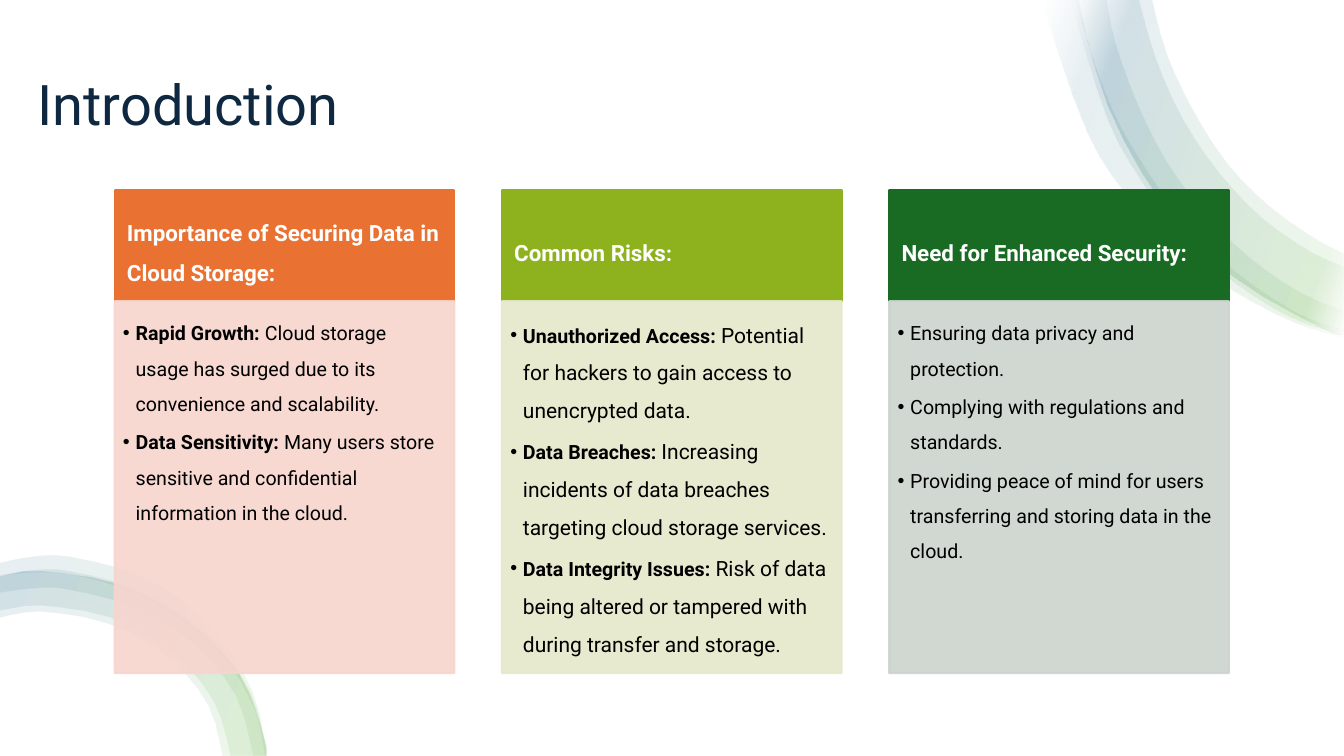
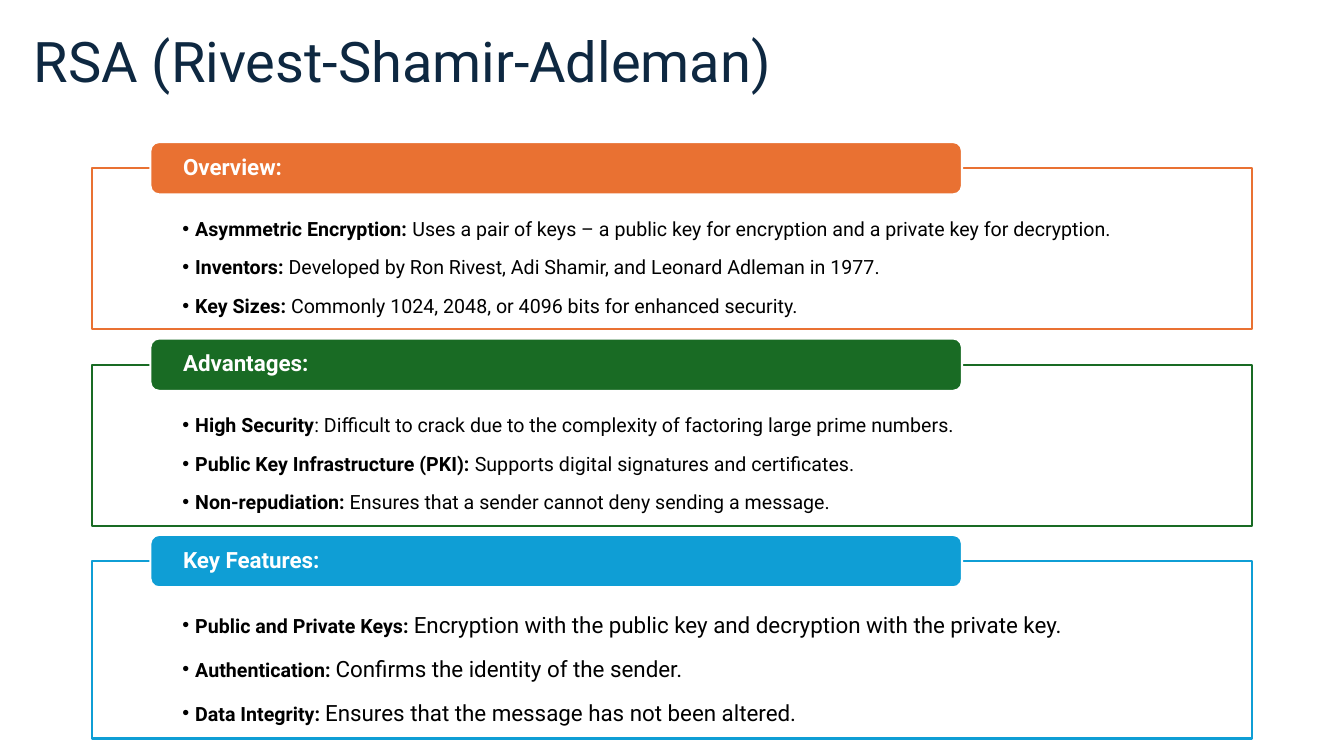
from dataclasses import dataclass

from lxml import etree
from pptx import Presentation
from pptx import util as u
from pptx.dml.color import RGBColor
from pptx.enum import shapes, text
from pptx.oxml.ns import qn


@dataclass(frozen=True)
class Theme:
    font: str = "Roboto"
    navy: str = "0E2841"
    black: str = "000000"
    white: str = "FFFFFF"
    orange: str = "E97132"
    lime: str = "8EB21E"
    green: str = "196B24"
    blue: str = "0F9ED5"
    pale_orange: str = "F7D5CE"
    pale_lime: str = "E5E8CA"
    pale_green: str = "CCD4CD"
    swoosh_green: str = "4EA72E"
    swoosh_blue: str = "156082"
    title: float = 40
    heading: float = 16
    body: float = 14
    body_large: float = 15
    outline: float = 1.5


THEME = Theme()
OPACITY = 90
SLIDE_WIDTH, SLIDE_HEIGHT = 33.87, 19.05


@dataclass(frozen=True)
class Box:
    """A region of the slide, in centimetres."""
    left: float
    top: float
    width: float
    height: float

    def place(self, shape):
        shape.left, shape.top = u.Cm(self.left), u.Cm(self.top)
        shape.width, shape.height = u.Cm(self.width), u.Cm(self.height)


# ---- Shared helpers ----
def add_alpha(color_element, percent):
    etree.SubElement(color_element, qn("a:alpha"), val=str(percent * 1000))


def write(paragraph, content, size=THEME.body, color=THEME.black, bold=False):
    run = paragraph.add_run()
    run.text = content
    run.font.name = THEME.font
    run.font.size = u.Pt(size)
    run.font.bold = bold
    run.font.color.rgb = RGBColor.from_string(color)


def set_frame(frame, insets, anchor):
    frame.word_wrap = True
    frame.vertical_anchor = anchor
    (frame.margin_left, frame.margin_top,
     frame.margin_right, frame.margin_bottom) = map(u.Cm, insets)


def add_panel(slide, box, fill, line=None, opacity=100, line_opacity=100,
              preset=shapes.MSO_SHAPE.RECTANGLE):
    panel = slide.shapes.add_shape(preset, 0, 0, 0, 0)
    box.place(panel)
    panel.shadow.inherit = False
    panel.fill.solid()
    panel.fill.fore_color.rgb = RGBColor.from_string(fill)
    if line is None:
        panel.line.fill.background()
    else:
        panel.line.color.rgb = RGBColor.from_string(line)
        panel.line.width = u.Pt(THEME.outline)
    properties = panel.element.spPr
    for parent, percent in ((properties, opacity),
                            (properties.find(qn("a:ln")), line_opacity)):
        if percent < 100:
            add_alpha(parent.find(qn("a:solidFill"))[0], percent)
    return panel


def add_heading(panel, heading, insets, line_spacing, tail=""):
    set_frame(panel.text_frame, insets, text.MSO_ANCHOR.MIDDLE)
    paragraph = panel.text_frame.paragraphs[0]
    paragraph.alignment = text.PP_ALIGN.LEFT
    paragraph.line_spacing = line_spacing
    write(paragraph, heading, size=THEME.heading, color=THEME.white, bold=True)
    if tail:
        write(paragraph, tail, size=THEME.body_large, color=THEME.white, bold=True)


def add_list(panel, items, insets, size):
    """Items are pairs of a bold lead and the text after it."""
    frame = panel.text_frame
    set_frame(frame, insets, text.MSO_ANCHOR.TOP)
    for index, (lead, rest) in enumerate(items):
        paragraph = frame.paragraphs[0] if index == 0 else frame.add_paragraph()
        paragraph.alignment = text.PP_ALIGN.LEFT
        paragraph.line_spacing = 1.5
        paragraph.space_after = u.Pt(0.16 * size)
        properties = paragraph._p.get_or_add_pPr()
        indent = u.Cm(0.32)
        properties.set("marL", str(indent))
        properties.set("indent", str(-indent))
        etree.SubElement(properties, qn("a:buFont"), typeface="Arial")
        etree.SubElement(properties, qn("a:buChar"), char="•")
        if lead:
            write(paragraph, lead, bold=True)
        write(paragraph, rest, size=size)


def add_titled_slide(presentation, title, box):
    slide = presentation.slides.add_slide(presentation.slide_layouts[5])
    box.place(slide.shapes.title)
    frame = slide.shapes.title.text_frame
    frame.vertical_anchor = text.MSO_ANCHOR.MIDDLE
    paragraph = frame.paragraphs[0]
    paragraph.alignment = text.PP_ALIGN.LEFT
    paragraph.line_spacing = 0.9
    write(paragraph, title, size=THEME.title, color=THEME.navy)
    return slide


# ---- Corner swooshes: edges in hundredths of 2.54 cm from the corner box ----
UNIT = u.Cm(2.54) / 100
RIGHT_STOPS = [(0, THEME.white), (12, THEME.swoosh_green),
               (85, THEME.swoosh_blue), (100, THEME.white)]
RIGHT_EDGE = [(35, 0), (67, 107), (119, 200), (190, 274), (276, 324), (300, 332)]
RIGHT_BANDS = [
    ([(4, 0), (8, 26), (45, 131), (83, 192), (132, 245), (188, 287), (249, 319), (300, 335)],
     [(37, 0), (49, 52), (73, 115), (107, 173), (148, 227), (197, 273), (253, 310), (300, 328)]),
    (RIGHT_EDGE,
     [(110, 0), (125, 55), (152, 112), (186, 164), (228, 206), (274, 238), (300, 251)]),
    ([(31, 0), (35, 20), (66, 119), (99, 179), (140, 233), (190, 279), (246, 314), (300, 333)],
     [(65, 0), (74, 44), (96, 104), (125, 161), (162, 211), (206, 255), (257, 290), (300, 308)]),
    (RIGHT_EDGE,
     [(97, 0), (114, 59), (141, 119), (177, 172), (220, 217), (268, 250), (300, 264)]),
]
LEFT_STOPS = [(10, THEME.swoosh_green), (95, THEME.swoosh_blue)]
LEFT_EDGE = [(0, 22), (40, 17), (117, 30), (185, 66), (237, 119), (262, 185), (263, 200)]
LEFT_BANDS = [
    (LEFT_EDGE, [(0, 63), (40, 57), (107, 69), (166, 102), (206, 150), (220, 200)]),
    (LEFT_EDGE, [(0, 56), (40, 51), (109, 63), (170, 97), (212, 147), (228, 200)]),
    ([(0, 21), (31, 16), (69, 17), (142, 37), (203, 77), (247, 135), (262, 186), (263, 200)],
     [(0, 38), (33, 34), (67, 35), (134, 53), (192, 89), (234, 141), (251, 200)]),
    ([(0, 9), (31, 3), (71, 3), (148, 25), (210, 73), (250, 137), (264, 200)],
     [(0, 22), (32, 18), (69, 20), (122, 34), (171, 59), (225, 108), (252, 155), (262, 200)]),
]


def smooth_curve(points, steps=3):
    """Catmull-Rom curve through the points, scaled to slide units."""
    padded = [points[0], *points, points[-1]]
    curve = []
    for a, b, c, d in zip(padded, padded[1:], padded[2:], padded[3:]):
        for step in range(steps):
            t = step / steps
            curve.append(tuple(
                UNIT * (q + t * (r - p) / 2
                        + t * t * (2 * p - 5 * q + 4 * r - s) / 2
                        + t ** 3 * (3 * q - p - 3 * r + s) / 2)
                for p, q, r, s in zip(a, b, c, d)))
    return curve + [tuple(UNIT * value for value in points[-1])]


def add_swoosh(slide, left, top, bands, color_stops):
    for outer, inner in bands:
        outline = smooth_curve(outer) + smooth_curve(inner)[::-1]
        builder = slide.shapes.build_freeform(*outline[0], scale=1.0)
        builder.add_line_segments(outline[1:], close=True)
        band = builder.convert_to_shape(u.Cm(left), u.Cm(top))
        band.shadow.inherit = False
        band.line.fill.background()
        band.fill.gradient()
        band.fill.gradient_angle = 160
        stops = band.element.spPr.find(qn("a:gradFill")).find(qn("a:gsLst"))
        for stop in list(stops):
            stops.remove(stop)
        for position, color in color_stops:
            stop = etree.SubElement(stops, qn("a:gs"), pos=str(position * 1000))
            add_alpha(etree.SubElement(stop, qn("a:srgbClr"), val=color), 10)


# ---- Introduction: three cards ----
CARDS = [
    ("Importance of Securing Data in Cloud Storage:", "",
     THEME.orange, THEME.pale_orange, THEME.body, [
         ("Rapid Growth: ",
          "Cloud storage usage has surged due to its convenience and scalability."),
         ("Data Sensitivity: ",
          "Many users store sensitive and confidential information in the cloud."),
     ]),
    ("Common Risks", ":", THEME.lime, THEME.pale_lime, THEME.body_large, [
        ("Unauthorized Access: ", "Potential for hackers to gain access to unencrypted data."),
        ("Data Breaches: ",
         "Increasing incidents of data breaches targeting cloud storage services."),
        ("Data Integrity Issues: ",
         "Risk of data being altered or tampered with during transfer and storage."),
    ]),
    ("Need for Enhanced Security:", "", THEME.green, THEME.pale_green, THEME.body, [
        ("", "Ensuring data privacy and protection."),
        ("", "Complying with regulations and standards."),
        ("", "Providing peace of mind for users transferring and storing data in the cloud."),
    ]),
]


def add_card(slide, box, heading, tail, color, pale, size, items):
    header_height = 2.79
    header = add_panel(slide, Box(box.left, box.top, box.width, header_height), color, color)
    add_heading(header, heading, (0.31, 0.18, 0.3, 0.18), 1.5, tail)
    body_box = Box(box.left, box.top + header_height, box.width, box.height - header_height)
    body = add_panel(slide, body_box, pale, pale, OPACITY, OPACITY)
    add_list(body, items, (0.21, 0.21, 0.28, 0.3), size)


def build_introduction(presentation):
    slide = add_titled_slide(presentation, "Introduction", Box(0.69, 1.05, 29.39, 3.3))
    backdrop = add_panel(slide, Box(0, 0, SLIDE_WIDTH, SLIDE_HEIGHT), THEME.white)
    slide.shapes.title.element.addprevious(backdrop.element)
    add_swoosh(slide, 26.24, 0, RIGHT_BANDS, RIGHT_STOPS)
    add_swoosh(slide, 0, 13.97, LEFT_BANDS, LEFT_STOPS)
    width, gap = 8.56, 1.2
    for index, card in enumerate(CARDS):
        add_card(slide, Box(2.89 + index * (width + gap), 4.8, width, 12.16), *card)


# ---- RSA: stacked sections with a heading tab ----
SECTIONS = [
    (4.06, "Overview:", THEME.orange, THEME.body, [
        ("Asymmetric Encryption: ",
         "Uses a pair of keys – a public key for encryption and a private key for decryption."),
        ("Inventors: ", "Developed by Ron Rivest, Adi Shamir, and Leonard Adleman in 1977."),
        ("Key Sizes: ", "Commonly 1024, 2048, or 4096 bits for enhanced security."),
    ]),
    (4.06, "Advantages:", THEME.green, THEME.body, [
        ("High Security",
         ": Difficult to crack due to the complexity of factoring large prime numbers."),
        ("Public Key Infrastructure (PKI): ", "Supports digital signatures and certificates."),
        ("Non-repudiation: ", "Ensures that a sender cannot deny sending a message."),
    ]),
    (4.47, "Key Features:", THEME.blue, THEME.heading, [
        ("Public and Private Keys: ",
         "Encryption with the public key and decryption with the private key."),
        ("Authentication: ", "Confirms the identity of the sender."),
        ("Data Integrity: ", "Ensures that the message has not been altered."),
    ]),
]


def add_section(slide, box, heading, color, size, items):
    frame = add_panel(slide, box, THEME.white, color, OPACITY)
    add_list(frame, items, (2.27, 0.93, 2.26, 0.28), size)
    tab_box = Box(box.left + 1.46, box.top - 0.66, box.width * 0.7, 1.32)
    tab = add_panel(slide, tab_box, color, THEME.white,
                    preset=shapes.MSO_SHAPE.ROUNDED_RECTANGLE)
    add_heading(tab, heading, (0.76, 0, 0.76, 0), 0.9)


def build_rsa(presentation):
    slide = add_titled_slide(presentation, "RSA (Rivest-Shamir-Adleman)",
                             Box(0.6, 0.36, 29.21, 2.51))
    top, gap = 4.24, 0.89
    for height, *section in SECTIONS:
        add_section(slide, Box(2.33, top, 29.22, height), *section)
        top += height + gap


def main():
    presentation = Presentation()
    presentation.slide_width = u.Cm(SLIDE_WIDTH)
    presentation.slide_height = u.Cm(SLIDE_HEIGHT)
    build_introduction(presentation)
    build_rsa(presentation)
    presentation.save("out.pptx")


if __name__ == "__main__":
    main()
